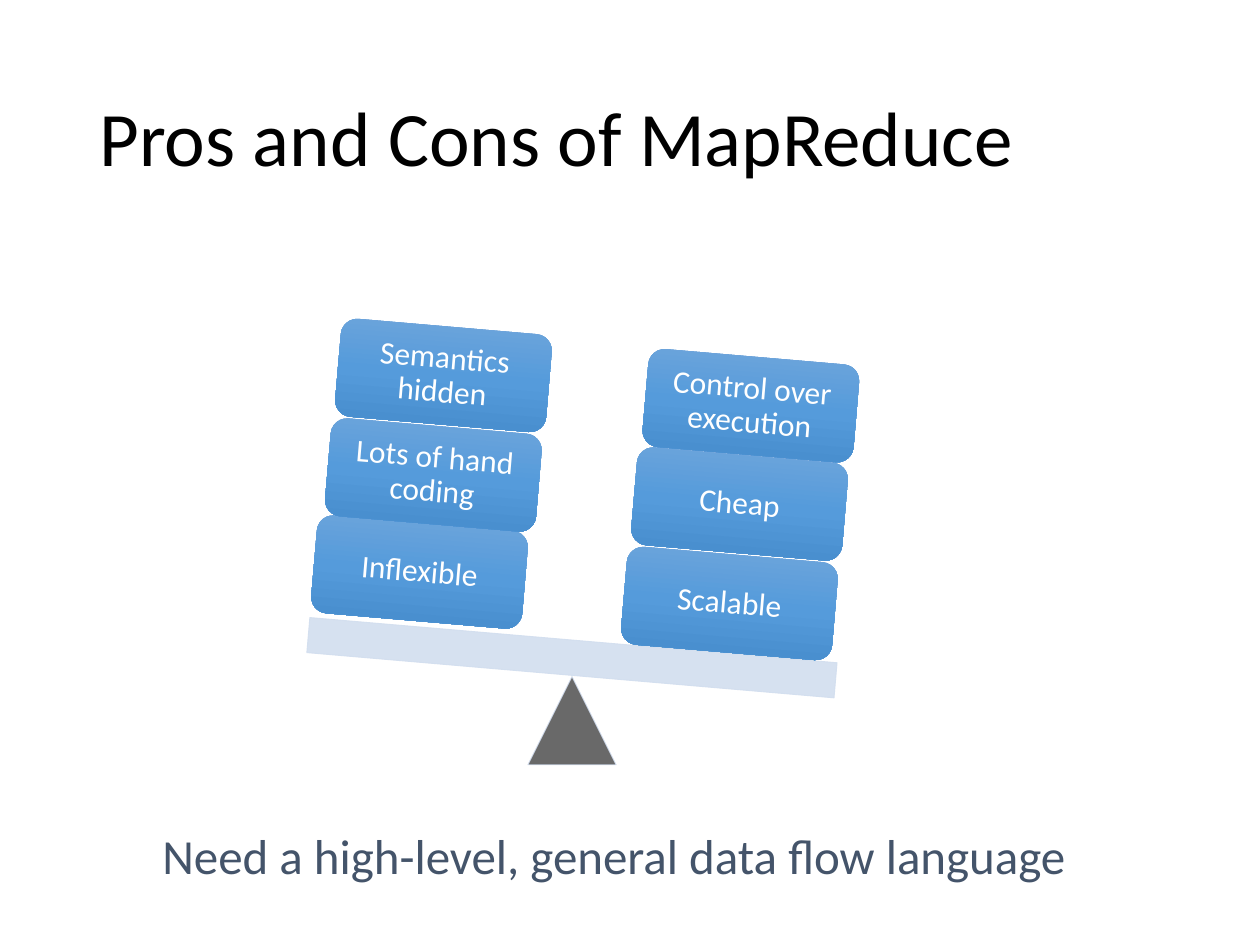
from copy import deepcopy

from lxml import etree
from pptx import Presentation
from pptx.dml.color import RGBColor
from pptx.enum.shapes import MSO_SHAPE
from pptx.enum.text import MSO_ANCHOR, MSO_AUTO_SIZE, PP_ALIGN
from pptx.oxml.ns import qn
from pptx.util import Inches, Pt

TRIANGLE = MSO_SHAPE.ISOSCELES_TRIANGLE
RECT = MSO_SHAPE.RECTANGLE
ROUND_RECT = MSO_SHAPE.ROUNDED_RECTANGLE
MIDDLE = MSO_ANCHOR.MIDDLE
LEFT, CENTER = PP_ALIGN.LEFT, PP_ALIGN.CENTER

TILT = 4.9
BLOCK_W, BLOCK_H = 1.68, 0.78
GRADIENT = ["71A6DB", "559BDB", "448ACA"]


def rgb(value):
    return RGBColor.from_string(value)


def style_text(p, size, color, align):
    p.alignment = align
    p.font.size = Pt(size)
    p.font.name = "Calibri"
    p.font.color.rgb = rgb(color)


prs = Presentation()
prs.slide_width, prs.slide_height = Inches(10), Inches(7.5)
slide = prs.slides.add_slide(prs.slide_layouts[5])

title = slide.shapes.title
title.left, title.top = Inches(0.69), Inches(0.4)
title.width, title.height = Inches(8.62), Inches(1.45)
tf = title.text_frame
tf.text = "Pros and Cons of MapReduce"
tf.vertical_anchor = MIDDLE
tf.paragraphs[0].line_spacing = 0.9
style_text(tf.paragraphs[0], 44, "000000", LEFT)

scale_parts = [
    (TRIANGLE, 4.19, 5.37, 0.7, 0.7, 0, "595959"),
    (RECT, 2.44, 5.08, 4.2, 0.28, TILT, "D2DEEF"),
]
for kind, x, y, w, h, angle, color in scale_parts:
    s = slide.shapes.add_shape(kind, Inches(x), Inches(y), Inches(w), Inches(h))
    s.shadow.inherit = False
    s.rotation = angle
    s.fill.solid()
    s.fill.fore_color.rgb = rgb(color)
    s.line.color.rgb = rgb("D2DEEF")
    s.line.width = Pt(0.5)
    for clr in s.element.spPr.iter(qn("a:srgbClr")):
        etree.SubElement(clr, qn("a:alpha")).set("val", "90000")

blocks = [
    ("Scalable", 4.95, 4.4),
    ("Cheap", 5.03, 3.61),
    ("Control over execution", 5.12, 2.83),
    ("Inflexible", 2.49, 4.15),
    ("Lots of hand coding", 2.6, 3.38),
    ("Semantics hidden", 2.68, 2.59),
]
for text, x, y in blocks:
    s = slide.shapes.add_shape(
        ROUND_RECT, Inches(x), Inches(y), Inches(BLOCK_W), Inches(BLOCK_H))
    s.shadow.inherit = False
    s.rotation = TILT
    s.line.fill.background()
    s.fill.gradient()
    s.fill.gradient_angle = 270
    stops = s.element.spPr.find(qn("a:gradFill")).find(qn("a:gsLst"))
    stops.insert(1, deepcopy(stops[0]))
    for i, (stop, color) in enumerate(zip(s.fill.gradient_stops, GRADIENT)):
        stop.position = i / 2
        stop.color.rgb = rgb(color)
    tf = s.text_frame
    tf.word_wrap = True
    tf.vertical_anchor = MIDDLE
    tf.margin_left = tf.margin_right = Inches(0.07)
    tf.margin_top = tf.margin_bottom = Inches(0.07)
    p = tf.paragraphs[0]
    p.text = text
    p.line_spacing = 0.9
    style_text(p, 18, "FFFFFF", CENTER)

conclusion = slide.shapes.add_textbox(
    Inches(1.19), Inches(6.5), Inches(7.62), Inches(0.57))
tf = conclusion.text_frame
tf.word_wrap = False
tf.auto_size = MSO_AUTO_SIZE.SHAPE_TO_FIT_TEXT
tf.text = "Need a high-level, general data flow language"
style_text(tf.paragraphs[0], 28, "44546A", LEFT)

prs.save("out.pptx")
